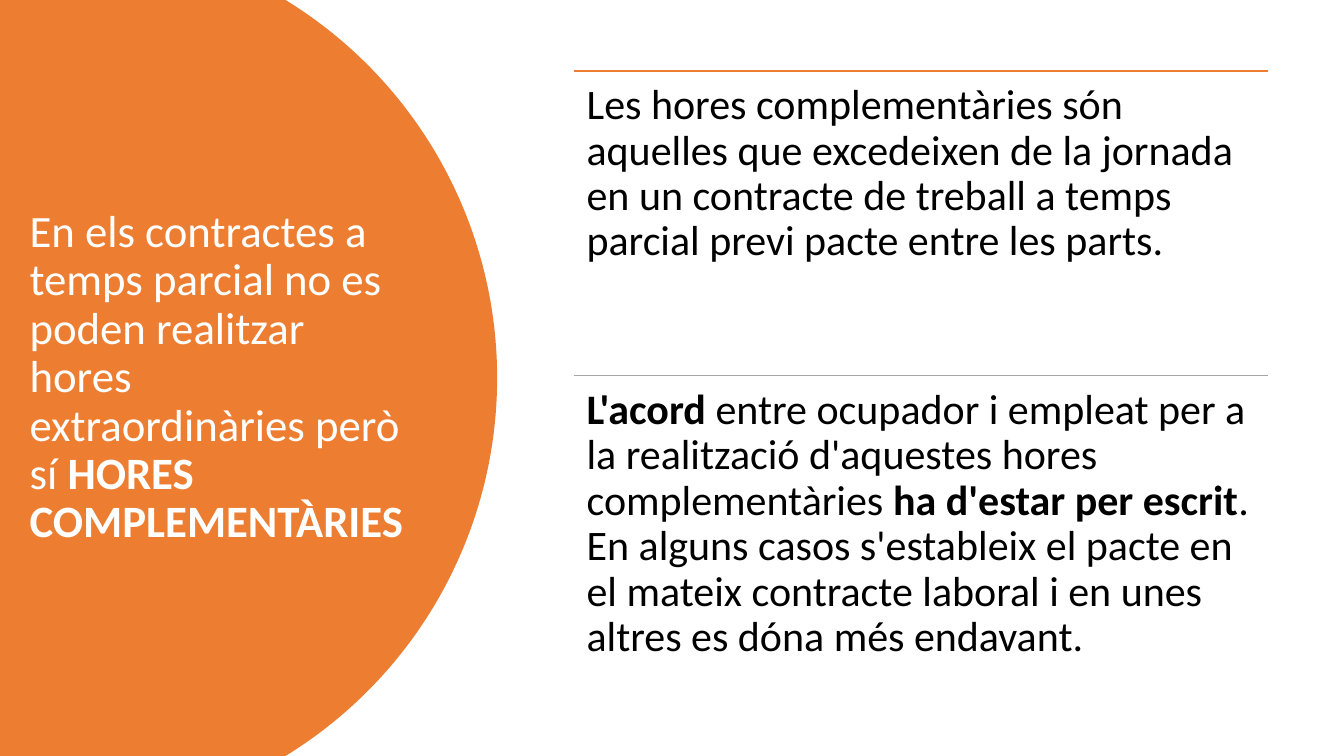
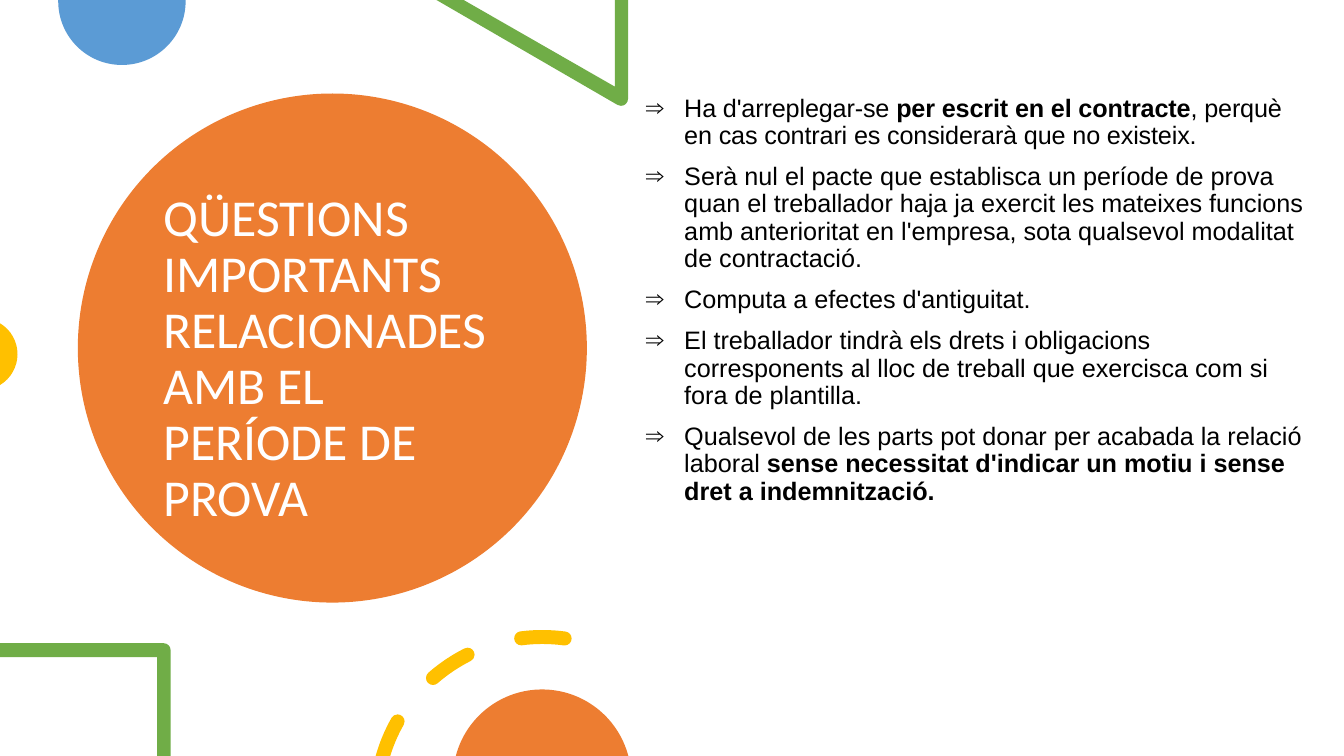
from dataclasses import dataclass
from math import ceil, cos, floor, radians, sin, tan

from lxml import etree
from pptx import Presentation
from pptx.dml.color import RGBColor
from pptx.enum.shapes import MSO_CONNECTOR, MSO_SHAPE
from pptx.enum.text import MSO_ANCHOR
from pptx.oxml.ns import qn
from pptx.util import Pt

STRAIGHT = MSO_CONNECTOR.STRAIGHT
ELLIPSE = MSO_SHAPE.OVAL
TOP, MIDDLE = MSO_ANCHOR.TOP, MSO_ANCHOR.MIDDLE
WIDTH, HEIGHT = 960, 540


@dataclass(frozen=True)
class Theme:
    orange: str = "ED7D31"
    blue: str = "5B9BD5"
    green: str = "70AD47"
    yellow: str = "FFC000"
    grey: str = "A5A5A5"
    white: str = "FFFFFF"
    black: str = "000000"
    heading_font: str = "Calibri"
    list_font: str = "Arial"
    panel_size: int = 32
    section_size: int = 30
    circle_size: int = 37
    list_size: int = 18
    line_spacing: float = 0.9


THEME = Theme()


# Geometry: a contour is a list of segments, one point for a line, three for a curve
def corners(*points):
    return [(point,) for point in points]


def polar(center, radius, angle):
    return (center[0] + radius * cos(radians(angle)),
            center[1] + radius * sin(radians(angle)))


def arc(center, radius, start, end):
    """A start point and Bézier curves, split at every quarter turn."""
    low, high = min(start, end), max(start, end)
    quarters = [90 * n for n in range(floor(low / 90) + 1, ceil(high / 90))]
    stops = sorted([low, *quarters, high], reverse=start > end)
    segments = corners(polar(center, radius, start))
    for begin, stop in zip(stops, stops[1:]):
        handle = radius * 4 / 3 * tan(radians(stop - begin) / 4)
        segments.append((
            polar(polar(center, radius, begin), handle, begin + 90),
            polar(polar(center, radius, stop), -handle, stop + 90),
            polar(center, radius, stop)))
    return segments


def cap(center, radius, half, angle, turn):
    """A half circle that rounds off the end of a dash."""
    return arc(polar(center, radius, angle), half, angle + turn, angle + turn + 180)[1:]


def dash_outline(center, radius, half, start, end):
    return (arc(center, radius + half, start, end) + cap(center, radius, half, end, 0)
            + arc(center, radius - half, end, start)[1:]
            + cap(center, radius, half, start, 180))


def cut_dash_outline(center, radius, half, outer_start, inner_start, end):
    """A dash whose first end is cut off by the slide edge."""
    return (arc(center, radius + half, outer_start, end) + cap(center, radius, half, end, 0)
            + arc(center, radius - half, end, inner_start)[1:])


# Elements
def paint(shape, color):
    shape.shadow.inherit = False
    shape.fill.solid()
    shape.fill.fore_color.rgb = RGBColor.from_string(color)
    shape.line.fill.background()


def add_outline(page, color, *contours):
    builder = None
    for contour in contours:
        points = [(Pt(x), Pt(y)) for segment in contour for x, y in segment]
        if builder is None:
            builder = page.shapes.build_freeform(*points[0], scale=1.0)
        else:
            builder.move_to(*points[0])
        builder.add_line_segments(points[1:], close=True)
    shape = builder.convert_to_shape()
    bend(shape, [segment for contour in contours for segment in contour])
    paint(shape, color)


def bend(shape, segments):
    """Turn each run of three line steps that stands for a curve into one curve."""
    steps = iter(list(shape.element.iter(qn("a:moveTo"), qn("a:lnTo"))))
    for segment in segments:
        first, *others = [next(steps) for _ in segment]
        if others:
            first.tag = qn("a:cubicBezTo")
        for step in others:
            first.append(step[0])
            step.getparent().remove(step)


def add_circle(page, left, top, size, color):
    paint(page.shapes.add_shape(ELLIPSE, Pt(left), Pt(top), Pt(size), Pt(size)), color)


def add_rule(page, left, top, width, color):
    rule = page.shapes.add_connector(STRAIGHT, Pt(left), Pt(top), Pt(left + width), Pt(top))
    rule.line.color.rgb = RGBColor.from_string(color)
    rule.line.width = Pt(1)
    etree.SubElement(rule.element.spPr, qn("a:effectLst"))


def add_bullet(para, mark, indent):
    properties = para._p.get_or_add_pPr()
    properties.set("marL", str(Pt(indent)))
    properties.set("indent", str(-Pt(indent)))
    etree.SubElement(properties, qn("a:buFont")).set("typeface", THEME.list_font)
    etree.SubElement(properties, qn("a:buChar")).set("char", mark)


def write(para, text, *, size, color, font, tracking=0):
    """Fill a paragraph; text between double asterisks is bold."""
    para.line_spacing = THEME.line_spacing
    for index, piece in enumerate(text.split("**")):
        if not piece:
            continue
        span = para.add_run()
        span.text = piece
        span.font.size = Pt(size)
        span.font.name = font
        span.font.bold = index % 2 == 1
        span.font.color.rgb = RGBColor.from_string(color)
        if tracking:
            span.font._element.set("spc", str(round(tracking * 100)))


def add_box(page, left, top, width, height, anchor=TOP, inset=None):
    box = page.shapes.add_textbox(Pt(left), Pt(top), Pt(width), Pt(height))
    frame = box.text_frame
    frame.word_wrap = True
    frame.vertical_anchor = anchor
    if inset is not None:
        frame.margin_left = frame.margin_right = Pt(inset)
        frame.margin_top = frame.margin_bottom = Pt(inset)
    return frame


def add_title(page, text, place, size):
    frame = add_box(page, *place, anchor=MIDDLE)
    write(frame.paragraphs[0], text, size=size, color=THEME.white, font=THEME.heading_font)


def add_bullet_list(page, items, place):
    frame = add_box(page, *place)
    for index, text in enumerate(items):
        para = frame.add_paragraph() if index else frame.paragraphs[0]
        add_bullet(para, "⇒", 27.36)
        para.space_before = Pt(10 if index else 0)
        write(para, text, size=THEME.list_size, color=THEME.black,
              font=THEME.list_font, tracking=0 if index else -0.1)


# Slides
def build_extra_hours(page):
    panel_edge = arc((38.4, HEIGHT / 2), 316.7, -58.49, 58.49)
    add_outline(page, THEME.orange, corners((0, 0)) + panel_edge + corners((0, HEIGHT)))
    add_title(page, "En els contractes a temps parcial no es poden realitzar hores "
              "extraordinàries però sí **HORES COMPLEMENTÀRIES**",
              (14, 50.8, 284.4, 438.5), THEME.panel_size)

    sections = [
        (THEME.orange, "Les hores complementàries són aquelles que excedeixen de la "
         "jornada en un contracte de treball a temps parcial previ pacte entre les parts."),
        (THEME.grey, "**L'acord** entre ocupador i empleat per a la realització d'aquestes "
         "hores complementàries **ha d'estar per escrit**. En alguns casos s'estableix el "
         "pacte en el mateix contracte laboral i en unes altres es dóna més endavant."),
    ]
    left, top, width, height = 410, 50.6, 495.4, 217.8
    for index, (color, text) in enumerate(sections):
        section_top = top + index * height
        add_rule(page, left, section_top, width, color)
        frame = add_box(page, left, section_top, width, height, inset=9)
        write(frame.paragraphs[0], text, size=THEME.section_size,
              color=THEME.black, font=THEME.heading_font)


def add_top_decorations(page):
    add_outline(page, THEME.blue, corners((132.6, 0), (41.6, 0))
                + arc((87.1, 0.9), 45.5, 180, 0))
    add_outline(page, THEME.green, corners(
        (448.6, 0), (439.2, 0), (439.2, 61.9), (331.2, 0), (311.8, 0))
        + arc((443.6, 70.6), 5, 120, 0))
    add_outline(page, THEME.yellow, arc((-13.2, 253), 25.7, -59.1, 59.1))


def add_bottom_decorations(page):
    add_outline(page, THEME.green, corners((0, 459.4)) + arc((116.9, 464.4), 5, 270, 360)
                + corners((121.9, HEIGHT), (112.3, HEIGHT), (112.3, 469.4), (0, 469.4)))
    ring = ((387.4, 573.8), 118.8, 5)
    add_outline(page, THEME.yellow,
                cut_dash_outline(*ring, 195.84, 197.28, 209.5),
                dash_outline(*ring, 228.9, 243.3),
                dash_outline(*ring, 262.7, 277.7))
    add_outline(page, THEME.orange, arc((387.2, 556.2), 63.7, 194.73, 345.27))


def build_trial_period(page):
    add_circle(page, 55.6, 66.8, 363.6, THEME.orange)
    add_title(page, "QÜESTIONS IMPORTANTS RELACIONADES AMB EL PERÍODE DE PROVA",
              (109.6, 96.8, 254.9, 320.4), THEME.circle_size)
    add_top_decorations(page)
    add_bullet_list(page, [
        "Ha d'arreplegar-se **per escrit en el contracte**, perquè en cas contrari es "
        "considerarà que no existeix.",
        "Serà nul el pacte que establisca un període de prova quan el treballador haja ja "
        "exercit les mateixes funcions amb anterioritat en l'empresa, sota qualsevol "
        "modalitat de contractació.",
        "Computa a efectes d'antiguitat.",
        "El treballador tindrà els drets i obligacions corresponents al lloc de treball "
        "que exercisca com si fora de plantilla.",
        "Qualsevol de les parts pot donar per acabada la relació laboral **sense necessitat "
        "d'indicar un motiu i sense dret a indemnització.**",
    ], (454.3, 64.7, 491, 468.7))
    add_bottom_decorations(page)


def main():
    deck = Presentation()
    deck.slide_width, deck.slide_height = Pt(WIDTH), Pt(HEIGHT)
    for build in (build_extra_hours, build_trial_period):
        build(deck.slides.add_slide(deck.slide_layouts[6]))
    deck.save("out.pptx")


if __name__ == "__main__":
    main()
